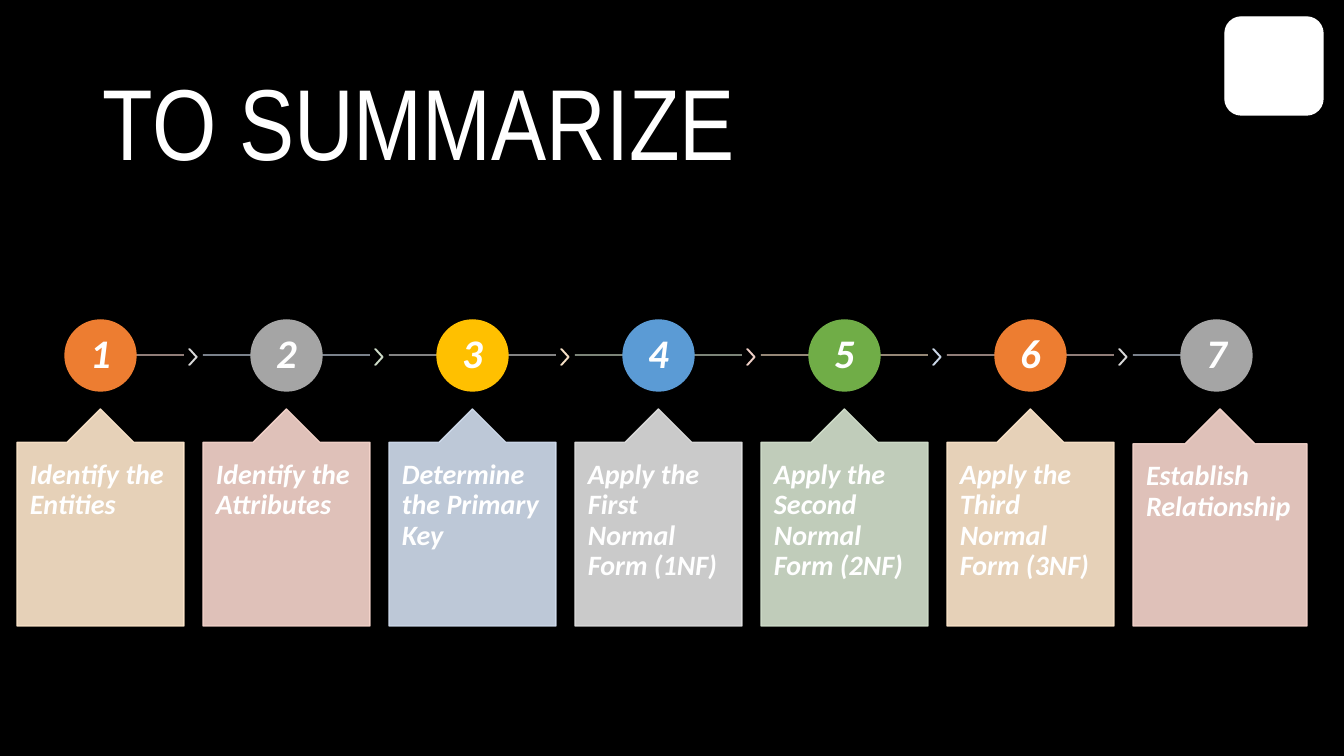
from dataclasses import dataclass

from lxml.etree import SubElement
from pptx import Presentation
from pptx.dml.color import RGBColor
from pptx.enum.shapes import MSO_CONNECTOR, MSO_SHAPE
from pptx.enum.text import MSO_ANCHOR, PP_ALIGN
from pptx.oxml.ns import qn
from pptx.util import Emu, Pt

EMU_PER_PX = 914400 / 100.8


def px(length):
    return Emu(round(length * EMU_PER_PX))


@dataclass(frozen=True)
class Theme:
    background: str = "000000"
    text: str = "FFFFFF"
    accents: tuple = ("ED7D31", "A5A5A5", "FFC000", "5B9BD5", "70AD47")
    tints: tuple = ("FFE8CC", "F8D7CE", "D2DEEF", "E1E1E1", "D5E3CF")
    tint_opacity: int = 90
    title_font: str = "Arial Narrow"
    body_font: str = "Calibri"
    title_size: int = 72
    number_size: int = 29
    body_size: int = 20

    def accent(self, index):
        return self.accents[index % len(self.accents)]

    def tint(self, index):
        return self.tints[index % len(self.tints)]


def write_text(shape, text, *, font, size, color, strong=False,
               align=PP_ALIGN.LEFT, anchor=MSO_ANCHOR.TOP, insets=(10, 5)):
    frame = shape.text_frame
    frame.word_wrap = True
    frame.vertical_anchor = anchor
    frame.margin_left = frame.margin_right = px(insets[0])
    frame.margin_top = frame.margin_bottom = px(insets[1])
    paragraph = frame.paragraphs[0]
    paragraph.alignment = align
    paragraph.line_spacing = 0.9
    run = paragraph.add_run()
    run.text = text
    run.font.name = font
    run.font.size = Pt(size)
    run.font.bold = run.font.italic = strong
    run.font.color.rgb = RGBColor.from_string(color)


def paint(fill, color, opacity):
    fill.solid()
    fill.fore_color.rgb = RGBColor.from_string(color)
    if opacity < 100:
        color_element = fill._xPr.find(qn("a:solidFill"))[0]
        SubElement(color_element, qn("a:alpha"), val=str(opacity * 1000))


class SlideBuilder:
    def __init__(self, slide, theme):
        self.slide = slide
        self.theme = theme
        paint(slide.background.fill, theme.background, 100)

    def shape(self, kind, left, top, width, height, color, opacity=100, adjustments=()):
        shape = self.slide.shapes.add_shape(kind, px(left), px(top), px(width), px(height))
        shape.shadow.inherit = False
        for index, value in enumerate(adjustments):
            shape.adjustments[index] = value
        paint(shape.fill, color, opacity)
        paint(shape.line.fill, color, opacity)
        shape.line.width = Pt(1)
        return shape

    def title(self, text, left, top, width, height):
        box = self.slide.shapes.add_textbox(px(left), px(top), px(width), px(height))
        write_text(box, text, font=self.theme.title_font, size=self.theme.title_size,
                   color=self.theme.text, anchor=MSO_ANCHOR.MIDDLE)

    def rail(self, start, end, y, color):
        line = self.slide.shapes.add_connector(
            MSO_CONNECTOR.STRAIGHT, px(start), px(y), px(end), px(y))
        paint(line.line.fill, color, self.theme.tint_opacity)
        line.line.width = Pt(1)
        SubElement(line._element.spPr, qn("a:effectLst"))

    def chevron(self, left, top, color):
        self.shape(MSO_SHAPE.CHEVRON, left, top, 8, 16, color,
                   self.theme.tint_opacity, (0.9,))

    def badge(self, number, left, top, size, color):
        circle = self.shape(MSO_SHAPE.OVAL, left, top, size, size, color)
        write_text(circle, str(number), font=self.theme.body_font,
                   size=self.theme.number_size, color=self.theme.text, strong=True,
                   align=PP_ALIGN.CENTER, anchor=MSO_ANCHOR.MIDDLE, insets=(3, 3))

    def card(self, text, left, top, width, height, color):
        callout = self.shape(MSO_SHAPE.UP_ARROW_CALLOUT, left, top, width, height, color,
                             self.theme.tint_opacity, (0.5, 0.2, 0.2, 1))
        write_text(callout, text, font=self.theme.body_font, size=self.theme.body_size,
                   color=self.theme.text, strong=True, insets=(13, 18))


STEPS = (
    "Identify the Entities",
    "Identify the Attributes",
    "Determine the Primary Key",
    "Apply the First Normal Form (1NF)",
    "Apply the Second Normal Form (2NF)",
    "Apply the Third Normal Form (3NF)",
    "Establish Relationship",
)
FIRST_LEFT, PITCH = 17, 186
CARD_WIDTH, LAST_CARD_WIDTH = 167, 174
BADGE_SIZE = 71


def add_steps(builder):
    theme = builder.theme
    last = len(STEPS) - 1
    for index, text in enumerate(STEPS):
        left = FIRST_LEFT + index * PITCH
        center = left + CARD_WIDTH // 2

        # Timeline: rail, chevron and numbered badge
        rail_start = center if index == 0 else left
        rail_end = center if index == last else left + CARD_WIDTH
        builder.rail(rail_start, rail_end, 355, theme.tint(index + 1))
        if index < last:
            builder.chevron(left + 172, 349, theme.tint(index + 3))
        builder.badge(index + 1, left + (CARD_WIDTH - BADGE_SIZE) // 2, 320,
                      BADGE_SIZE, theme.accent(index))

        # Description card
        width = LAST_CARD_WIDTH if index == last else CARD_WIDTH
        builder.card(text, left, 409, width, 217, theme.tint(index))


def main():
    presentation = Presentation()
    presentation.slide_width, presentation.slide_height = px(1344), px(756)
    slide = presentation.slides.add_slide(presentation.slide_layouts[6])
    builder = SlideBuilder(slide, Theme())

    # Header
    builder.shape(MSO_SHAPE.ROUNDED_RECTANGLE, 1225, 17, 98, 98, builder.theme.text)
    builder.title("TO SUMMARIZE", 93, 55, 1159, 146)

    # Seven steps
    add_steps(builder)
    presentation.save("out.pptx")


if __name__ == "__main__":
    main()
